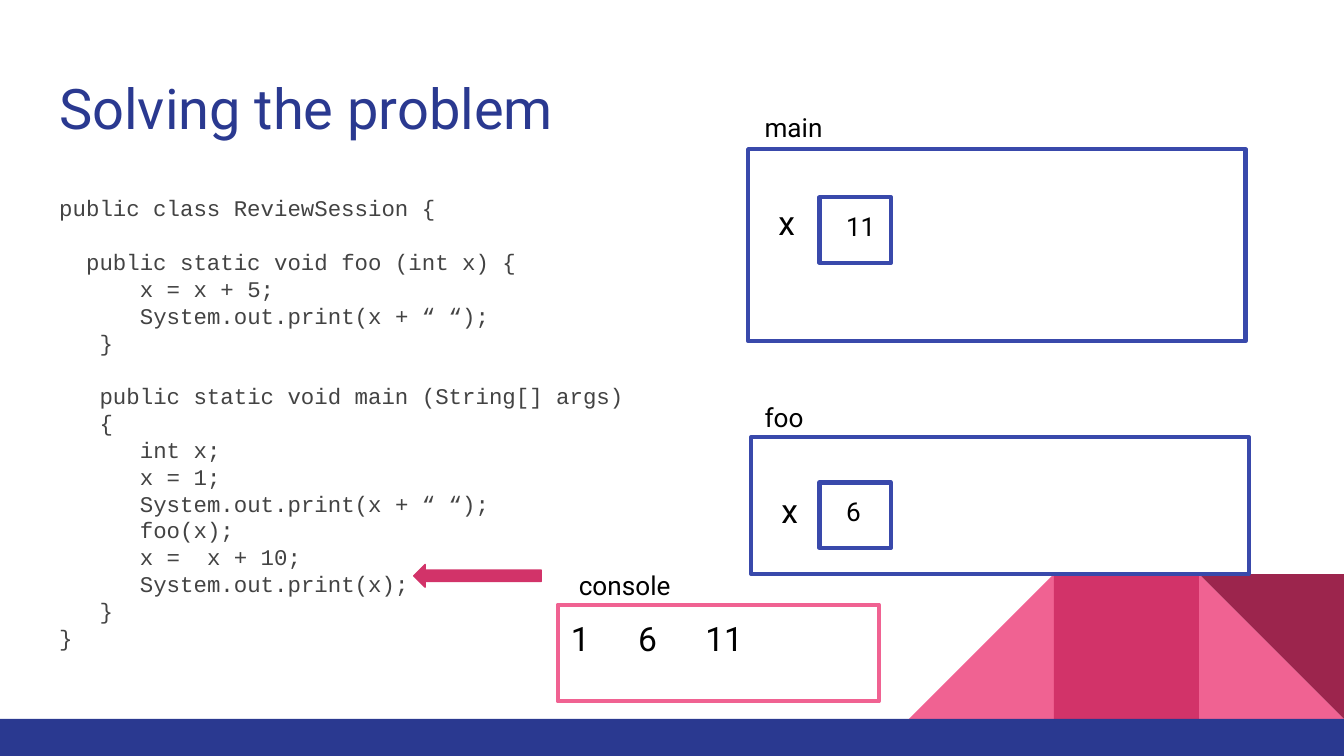
"""Build the slide that traces a Java method call through its stack frames."""
from lxml.etree import SubElement
from pptx import Presentation
from pptx.dml.color import RGBColor
from pptx.enum.shapes import MSO_SHAPE as Shape
from pptx.enum.text import MSO_ANCHOR as Anchor, PP_ALIGN as Align
from pptx.oxml.ns import qn
from pptx.util import Cm, Pt

NAVY = RGBColor(0x2A, 0x39, 0x90)
BLUE = RGBColor(0x39, 0x49, 0xAB)
PINK = RGBColor(0xF0, 0x62, 0x92)
ROSE = RGBColor(0xD2, 0x33, 0x69)
WINE = RGBColor(0x9C, 0x25, 0x4D)
GREY = RGBColor(0x43, 0x43, 0x43)
BLACK = RGBColor(0, 0, 0)

CODE = """\
public class ReviewSession {

  public static void foo (int x) {
      x = x + 5;
      System.out.print(x + “ “);
   }

   public static void main (String[] args)
   {
      int x;
      x = 1;
      System.out.print(x + “ “);
      foo(x);
      x =  x + 10;
      System.out.print(x);
   }
}"""
CODE_LINE = Pt(14.36)
CODE_CHAR = Pt(7.2)

prs = Presentation()
prs.slide_width, prs.slide_height = Cm(25.4), Cm(14.29)
slide = prs.slides.add_slide(prs.slide_layouts[6])


def write(box, text, size=14, font="Roboto", color=BLACK, left=0.25, top=0.25,
          line=None, tabs=(), wrap=True):
    frame = box.text_frame
    frame.word_wrap = wrap
    frame.vertical_anchor = Anchor.TOP
    frame.margin_left, frame.margin_top = Cm(left), Cm(top)
    frame.margin_right = frame.margin_bottom = Cm(0.25)
    paragraph, gap = frame.paragraphs[0], False
    for row in text.split("\n"):
        words = row.lstrip()
        if not words:
            gap = True
            continue
        if paragraph.runs:
            paragraph = frame.add_paragraph()
        paragraph.alignment = Align.LEFT
        if line:
            paragraph.line_spacing = line
            paragraph.space_before = line if gap else Pt(0)
        gap = False
        props = paragraph._p.get_or_add_pPr()
        props.set("marL", str((len(row) - len(words)) * CODE_CHAR))
        props.set("indent", "0")
        if tabs:
            stops = SubElement(props, qn("a:tabLst"))
            for stop in tabs:
                SubElement(stops, qn("a:tab"), pos=str(Cm(stop)), algn="l")
        run = paragraph.add_run()
        run.text = words
        run.font.size, run.font.name = Pt(size), font
        run.font.color.rgb = color


def draw(kind, x, y, width, height, fill=None, outline=None, weight=2.25):
    shape = slide.shapes.add_shape(kind, Cm(x), Cm(y), Cm(width), Cm(height))
    shape.shadow.inherit = False
    if fill is None:
        shape.fill.background()
    else:
        shape.fill.solid()
        shape.fill.fore_color.rgb = fill
    if outline is None:
        shape.line.fill.background()
    else:
        shape.line.color.rgb = outline
        shape.line.width = Pt(weight)
    return shape


side = 2.74
for column, kind, turn, color in [
    (2, Shape.RIGHT_TRIANGLE, 0, PINK),
    (0, Shape.RIGHT_TRIANGLE, 270, PINK),
    (1, Shape.RECTANGLE, 0, ROSE),
    (2, Shape.RIGHT_TRIANGLE, 180, WINE),
]:
    facet = draw(kind, 17.18 + column * side, 10.85, side, side, fill=color)
    facet.rotation = turn
draw(Shape.RECTANGLE, 0, 13.59, 25.4, 0.7, fill=NAVY)

title = slide.shapes.add_textbox(Cm(0.87), Cm(1.14), Cm(23.67), Cm(1.68))
write(title, "Solving the problem", size=30, color=NAVY)

code = slide.shapes.add_textbox(Cm(0.87), Cm(3.43), Cm(11.84), Cm(9.27))
write(code, CODE, size=12, font="Courier New", color=GREY, line=CODE_LINE)

for x, y, height, value, value_y in [
    (14.14, 2.82, 3.63, "11", 3.73),
    (14.2, 8.26, 2.59, "6", 9.12),
]:
    stack_frame = draw(Shape.RECTANGLE, x, y, 9.4, height, outline=BLUE)
    write(stack_frame, "x", size=18, left=0.57, top=1)
    variable = draw(Shape.RECTANGLE, 15.49, value_y, 1.35, 1.24, outline=BLUE)
    write(variable, value, left=0.5, wrap=False)

draw(Shape.LEFT_ARROW, 7.82, 10.67, 2.41, 0.43, fill=ROSE, outline=ROSE, weight=0.75)

console = draw(Shape.RECTANGLE, 10.54, 11.43, 6.07, 1.83, outline=PINK)
write(console, "1\t6\t11", size=18, tabs=(0.83, 1.81))

for name, x, y in [("main", 14.2, 1.85), ("console", 10.69, 10.52), ("foo", 14.2, 7.34)]:
    label = slide.shapes.add_textbox(Cm(x), Cm(y), Cm(2.41), Cm(0.74))
    write(label, name)

prs.save("out.pptx")
